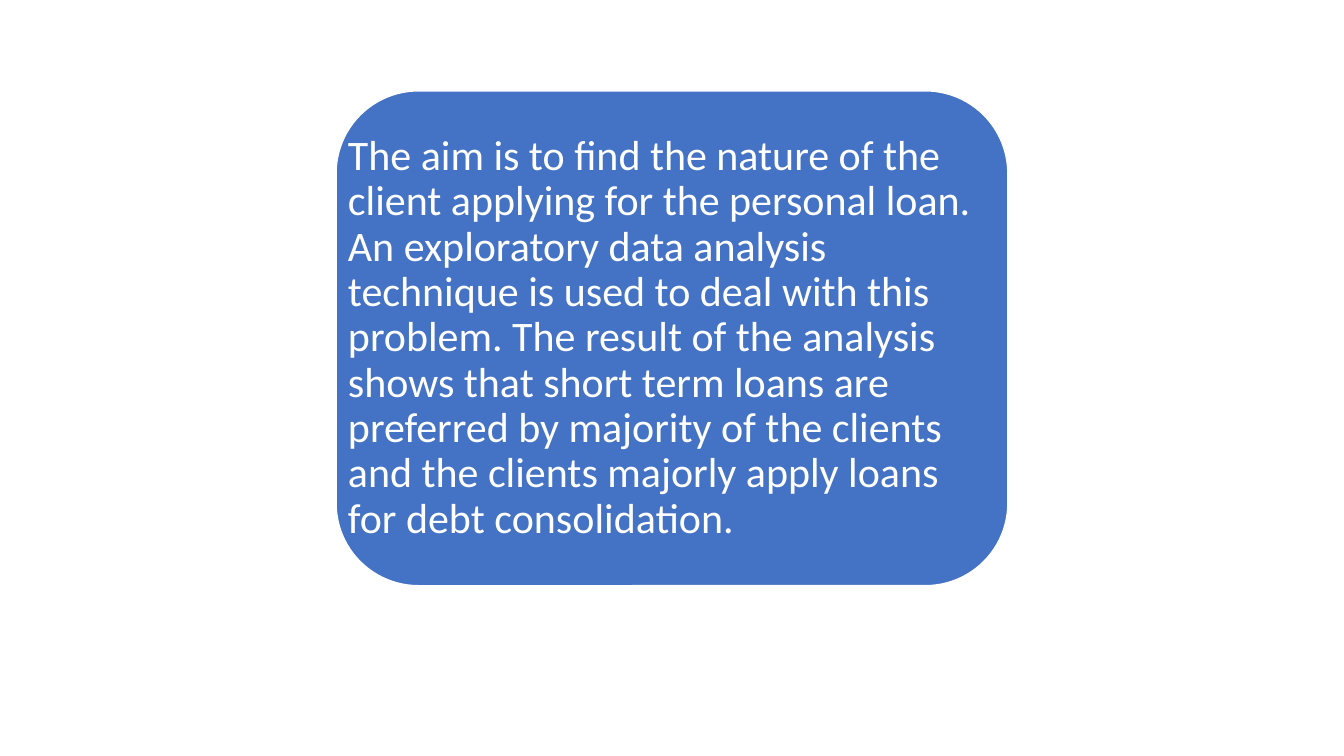
from pptx import Presentation
from pptx.dml.color import RGBColor
from pptx.enum.shapes import MSO_SHAPE as SHAPE
from pptx.enum.text import MSO_ANCHOR as ANCHOR, PP_ALIGN as ALIGN
from pptx.util import Cm, Pt

COLORS = {"panel": "4472C4", "white": "FFFFFF"}
FONT = "Calibri"
PANEL_BOX = (Cm(8.47), Cm(2.29), Cm(16.93), Cm(12.47))
AIM = (
    "The aim is to find the nature of the client applying for the personal loan. "
    "An exploratory data analysis technique is used to deal with this problem. "
    "The result of the analysis shows that short term loans are preferred by "
    "majority of the clients and the clients majorly apply loans for debt "
    "consolidation."
)


def color(name):
    return RGBColor.from_string(COLORS[name])


def add_panel(s, box):
    sp = s.shapes.add_shape(SHAPE.ROUNDED_RECTANGLE, *box)
    sp.shadow.inherit = False
    sp.fill.solid()
    sp.fill.fore_color.rgb = color("panel")
    sp.line.color.rgb = color("white")
    sp.line.width = Pt(1)


def add_statement(s, box, text, size):
    tf = s.shapes.add_textbox(*box).text_frame
    tf.word_wrap = True
    tf.vertical_anchor = ANCHOR.MIDDLE
    tf.margin_left = tf.margin_right = tf.margin_top = tf.margin_bottom = Cm(0.3)
    p = tf.paragraphs[0]
    p.alignment = ALIGN.LEFT
    p.line_spacing = 0.9
    r = p.add_run()
    r.text = text
    r.font.name = FONT
    r.font.size = Pt(size)
    r.font.color.rgb = color("white")


def main():
    prs = Presentation()
    prs.slide_width, prs.slide_height = Cm(33.87), Cm(19.05)
    s = prs.slides.add_slide(prs.slide_layouts[6])

    # Rounded panel with the aim of the study on top
    add_panel(s, PANEL_BOX)
    add_statement(s, PANEL_BOX, AIM, 30)

    prs.save("out.pptx")


if __name__ == "__main__":
    main()
